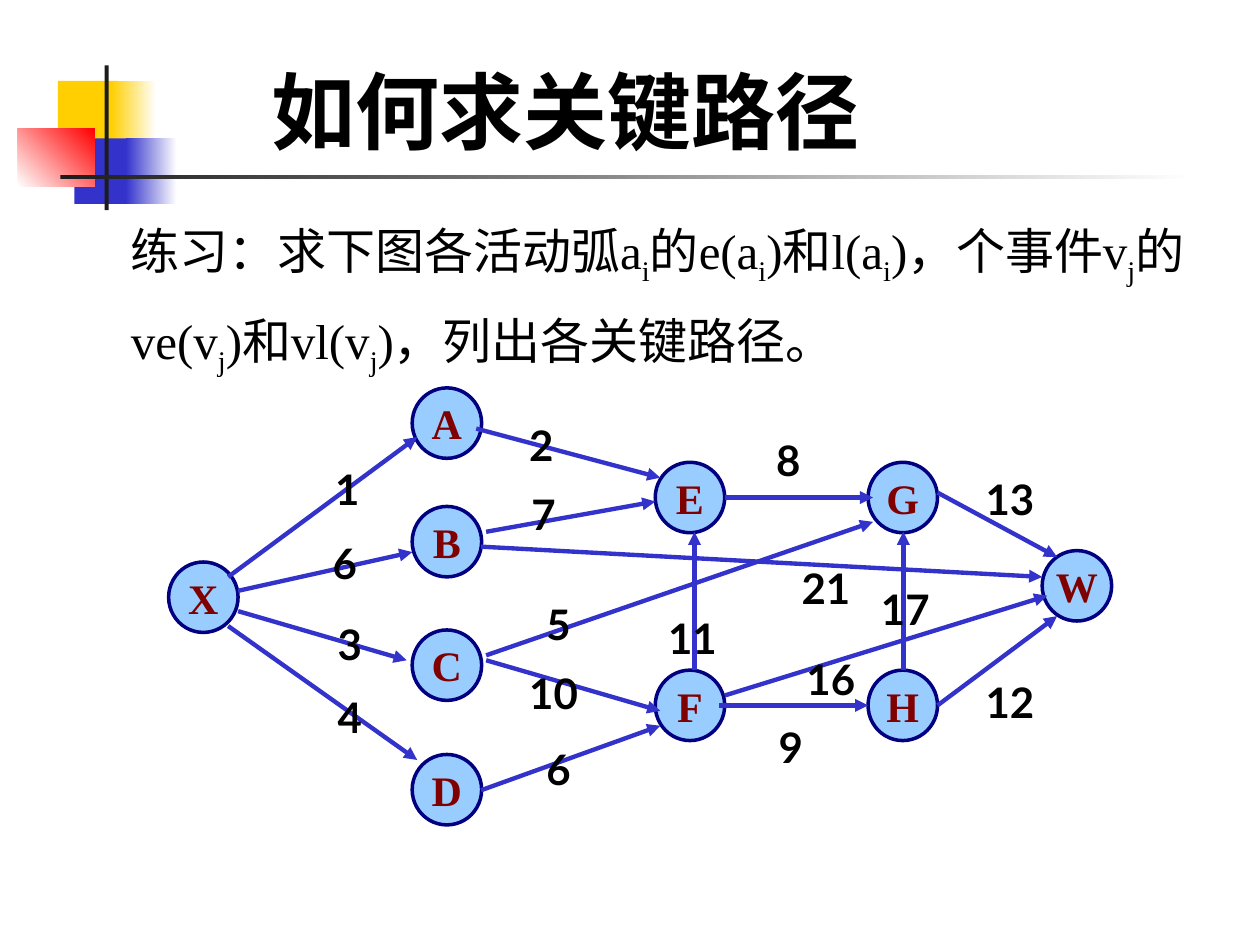
from lxml.etree import SubElement
from pptx import Presentation
from pptx.dml.color import RGBColor
from pptx.enum.shapes import MSO_CONNECTOR as Connector, MSO_SHAPE as Shape
from pptx.enum.text import MSO_ANCHOR as Anchor, PP_ALIGN as Align
from pptx.oxml.ns import qn
from pptx.util import Cm, Pt

COLORS = {
    "black": "000000", "white": "FFFFFF", "ink": "1C1C1C",
    "yellow": "FFCF01", "blue": "3333CC", "red": "FF0000",
    "node": "99CCFF", "navy": "000080", "maroon": "800000",
}
SERIF, SANS = "Times New Roman", "Lato"
NODE_W, NODE_H = 1.4, 1.42
WEIGHT_W, WEIGHT_H = 1.7, 1.27

# left, top, width, height, colours (two make a gradient), gradient angle
ORNAMENTS = [
    (1.17, 1.63, 1.22, 1.32, ["yellow"], 0),
    (2.24, 1.63, 0.91, 1.32, ["yellow", "white"], 0),
    (1.5, 2.79, 1.17, 1.32, ["blue"], 0),
    (2.54, 2.79, 1.02, 1.32, ["blue", "white"], 0),
    (0.36, 2.59, 1.55, 1.17, ["white", "red"], 45),
    (2.11, 1.32, 0.08, 2.92, ["ink"], 0),
    (1.22, 3.53, 22.86, 0.08, ["ink", "white"], 0),
]

# column left, then the top of each event in that column
EVENT_COLUMNS = [
    (3.4, {"X": 11.33}),
    (8.31, {"A": 7.82, "B": 10.21, "C": 12.7, "D": 15.21}),
    (13.21, {"E": 9.32, "F": 13.51}),
    (17.5, {"G": 9.32, "H": 13.51}),
    (21.01, {"W": 11.1}),
]

# start, end, weight, centre of the weight
ACTIVITIES = [
    ((4.6, 11.63), (8.41, 8.81), 1, (7, 9.86)),
    ((4.6, 12.62), (8.41, 15.32), 4, (7.05, 14.45)),
    ((4.8, 12.32), (8.2, 13.31), 3, (7.05, 12.98)),
    ((4.8, 11.91), (8.31, 11.13), 6, (6.95, 11.35)),
    ((9.6, 8.64), (13.31, 9.63), 2, (10.91, 8.97)),
    ((9.8, 13.31), (13.31, 14.33), 10, (11.16, 13.97)),
    ((9.7, 15.93), (13.31, 14.63), 6, (11.26, 15.49)),
    ((9.8, 10.72), (13.21, 10.11), 7, (10.96, 10.36)),
    ((14, 13.51), (14, 10.72), 11, (13.96, 12.85)),
    ((18.21, 13.51), (18.21, 10.72), 17, (18.25, 12.27)),
    ((14.61, 10.03), (17.6, 10.03), 8, (15.89, 9.27)),
    ((14.5, 14.22), (17.5, 14.22), 9, (15.94, 15.06)),
    ((9.8, 13.21), (17.6, 10.52), 5, (11.26, 12.57)),
    ((9.7, 11.02), (21.01, 11.63), 21, (16.65, 11.86)),
    ((14.61, 14.02), (21.11, 12.01), 16, (16.75, 13.69)),
    ((18.9, 14.22), (21.31, 12.42), 12, (20.36, 14.15)),
    ((18.9, 9.93), (21.31, 11.23), 13, (20.36, 10.06)),
]


def rgb(name):
    return RGBColor.from_string(COLORS[name])


def write(frame, text, *, size, font=SERIF, color="black", bold=False,
          align=Align.CENTER, spacing=None, wrap=True):
    """Fill a frame with one paragraph; text between bars is subscript."""
    frame.word_wrap = wrap
    paragraph = frame.paragraphs[0]
    paragraph.alignment = align
    paragraph.line_spacing = spacing
    for index, piece in enumerate(text.split("|")):
        run = paragraph.add_run()
        run.text = piece
        run.font.size = Pt(size)
        run.font.name = font
        run.font.bold = bold
        run.font.color.rgb = rgb(color)
        if index % 2:
            run.font._element.set("baseline", "-25000")


def add_text(slide, left, top, width, height, text, **style):
    box = slide.shapes.add_textbox(Cm(left), Cm(top), Cm(width), Cm(height))
    write(box.text_frame, text, **style)


def add_ornament(slide, left, top, width, height, colors, angle):
    block = slide.shapes.add_shape(
        Shape.RECTANGLE, Cm(left), Cm(top), Cm(width), Cm(height))
    block.shadow.inherit = False
    block.line.fill.background()
    if len(colors) == 1:
        block.fill.solid()
        block.fill.fore_color.rgb = rgb(colors[0])
    else:
        block.fill.gradient()
        block.fill.gradient_angle = angle
        for stop, color in zip(block.fill.gradient_stops, colors):
            stop.color.rgb = rgb(color)


def add_event(slide, left, top, name):
    event = slide.shapes.add_shape(
        Shape.OVAL, Cm(left), Cm(top), Cm(NODE_W), Cm(NODE_H))
    event.shadow.inherit = False
    event.fill.solid()
    event.fill.fore_color.rgb = rgb("node")
    event.line.color.rgb = rgb("navy")
    event.line.width = Pt(2)
    event.text_frame.vertical_anchor = Anchor.MIDDLE
    write(event.text_frame, name, size=24, color="maroon", bold=True, wrap=False)


def add_arrow(slide, start, end):
    arrow = slide.shapes.add_connector(
        Connector.STRAIGHT, *(Cm(value) for value in start + end))
    arrow.line.color.rgb = rgb("blue")
    arrow.line.width = Pt(2.5)
    SubElement(arrow.line._get_or_add_ln(), qn("a:tailEnd"), type="triangle")
    SubElement(arrow._element.spPr, qn("a:effectLst"))


def add_weight(slide, center, weight):
    x, y = center
    add_text(slide, x - WEIGHT_W / 2, y - WEIGHT_H / 2, WEIGHT_W, WEIGHT_H,
             str(weight), size=24, font=SANS, bold=True)


def main():
    deck = Presentation()
    deck.slide_width, deck.slide_height = Cm(25.4), Cm(19.05)
    slide = deck.slides.add_slide(deck.slide_layouts[6])

    for ornament in ORNAMENTS:
        add_ornament(slide, *ornament)
    add_text(slide, 3.1, 1.07, 16.61, 2.29, "如何求关键路径", size=48, bold=True)
    add_text(slide, 2.39, 3.84, 22.2, 3.91,
             "练习：求下图各活动弧a|i|的e(a|i|)和l(a|i|)，个事件v|j|的ve(v|j|)"
             "和vl(v|j|)，列出各关键路径。",
             size=28, align=Align.LEFT, spacing=1.35)

    for left, events in EVENT_COLUMNS:
        for name, top in events.items():
            add_event(slide, left, top, name)
    for start, end, _, _ in ACTIVITIES:
        add_arrow(slide, start, end)
    for _, _, weight, center in ACTIVITIES:
        add_weight(slide, center, weight)

    deck.save("out.pptx")


if __name__ == "__main__":
    main()
